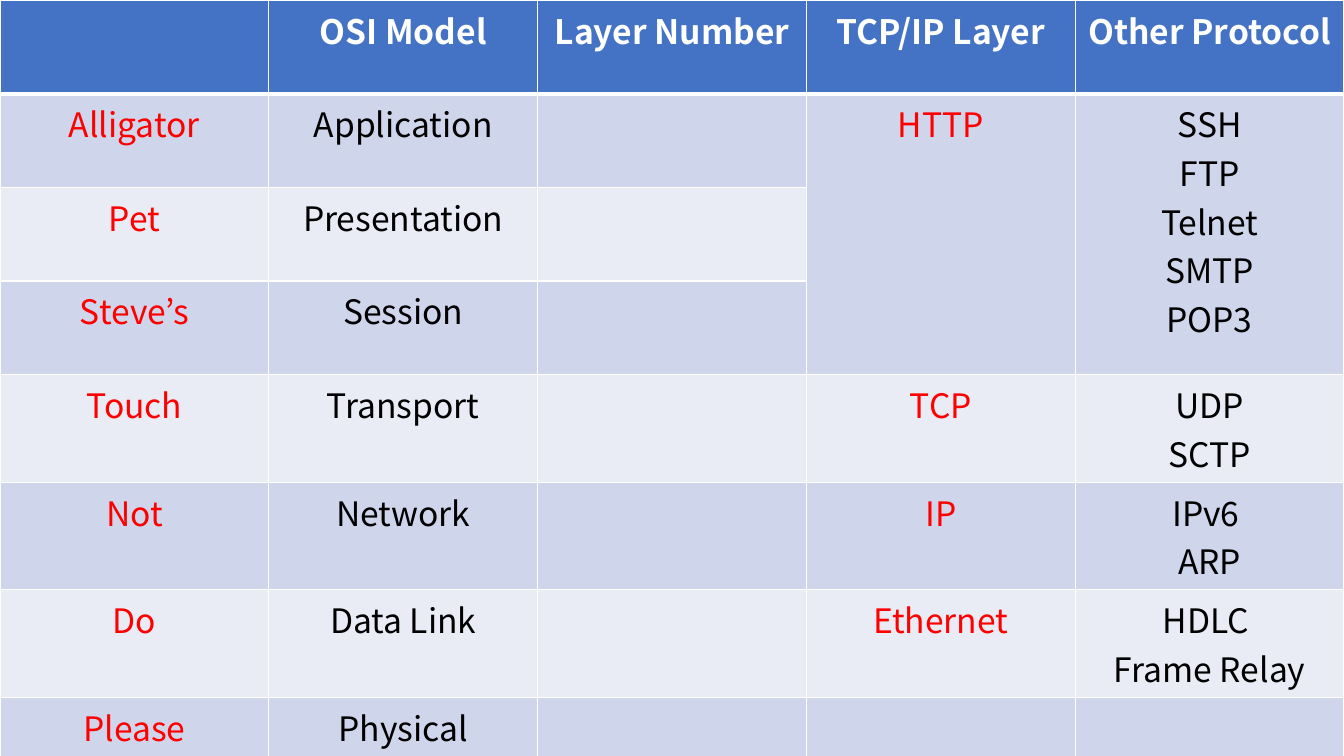
from lxml import etree
from pptx import Presentation, util as u
from pptx.dml import color
from pptx.enum import text
from pptx.oxml import ns

HUES = {
    "head": "4472C4",
    "odd": "CFD5EA",
    "even": "E9EBF5",
    "white": "FFFFFF",
    "red": "FF0000",
    "black": "000000",
}
HEADS = ["", "OSI Model", "Layer Number", "TCP/IP Layer", "Other Protocol"]
LAYERS = [
    ("Alligator", "Application", "", "HTTP", "SSH\nFTP\nTelnet\nSMTP\nPOP3"),
    ("Pet", "Presentation", "", "", ""),
    ("Steve’s", "Session", "", "", ""),
    ("Touch", "Transport", "", "TCP", "UDP\nSCTP"),
    ("Not", "Network", "", "IP", "IPv6 \nARP"),
    ("Do", "Data Link", "", "Ethernet", "HDLC \nFrame Relay"),
    ("Please", "Physical", "", "", ""),
]
INKS = ["red", "black", "black", "red", "black"]
WIDE, ROW = 33.87, 2.36


class Deck:
    font = "Noto Sans CJK KR"
    size = u.Pt(24)

    def __init__(self):
        self.show = Presentation()
        self.show.slide_width = u.Cm(WIDE)
        self.show.slide_height = u.Cm(19.05)
        self.slide = self.show.slides.add_slide(self.show.slide_layouts[6])

    def edge(self, cell, side, width):
        props = cell._tc.get_or_add_tcPr()
        line = etree.SubElement(props, ns.qn("a:ln" + side), w=str(u.Pt(width)))
        fill = etree.SubElement(line, ns.qn("a:solidFill"))
        etree.SubElement(fill, ns.qn("a:srgbClr"), val=HUES["white"])

    def label(self, cell, words, ink, bold):
        frame = cell.text_frame
        for i, word in enumerate(words.split("\n")):
            para = frame.paragraphs[0] if i == 0 else frame.add_paragraph()
            para.alignment = text.PP_ALIGN.CENTER
            if not word:
                para.font.size = self.size
                continue
            run = para.add_run()
            run.text = word
            run.font.name = self.font
            run.font.size = self.size
            run.font.bold = bold
            run.font.color.rgb = color.RGBColor.from_string(HUES[ink])

    def cell(self, cell, words, fill, ink, bold=False, top=1, base=1):
        for side, width in zip("LRTB", (1, 1, top, base)):
            self.edge(cell, side, width)
        cell.fill.solid()
        cell.fill.fore_color.rgb = color.RGBColor.from_string(HUES[fill])
        self.label(cell, words, ink, bold)

    def table(self, heads, rows, inks):
        count = len(rows) + 1
        grid = self.slide.shapes.add_table(
            count, len(heads), 0, 0, u.Cm(WIDE), u.Cm(ROW * count)
        ).table
        for row in grid.rows:
            row.height = u.Cm(ROW)
        for c, head in enumerate(heads):
            self.cell(grid.cell(0, c), head, "head", "white", bold=True, base=3)
        for r, row in enumerate(rows, 1):
            fill = "odd" if r % 2 else "even"
            for c, words in enumerate(row):
                top = 3 if r == 1 else 1
                self.cell(grid.cell(r, c), words, fill, inks[c], top=top)
        return grid

    def save(self):
        self.show.save("out.pptx")


def main():
    deck = Deck()
    grid = deck.table(HEADS, LAYERS, INKS)
    for c in (3, 4):
        grid.cell(1, c).merge(grid.cell(3, c))
    deck.save()


if __name__ == "__main__":
    main()
